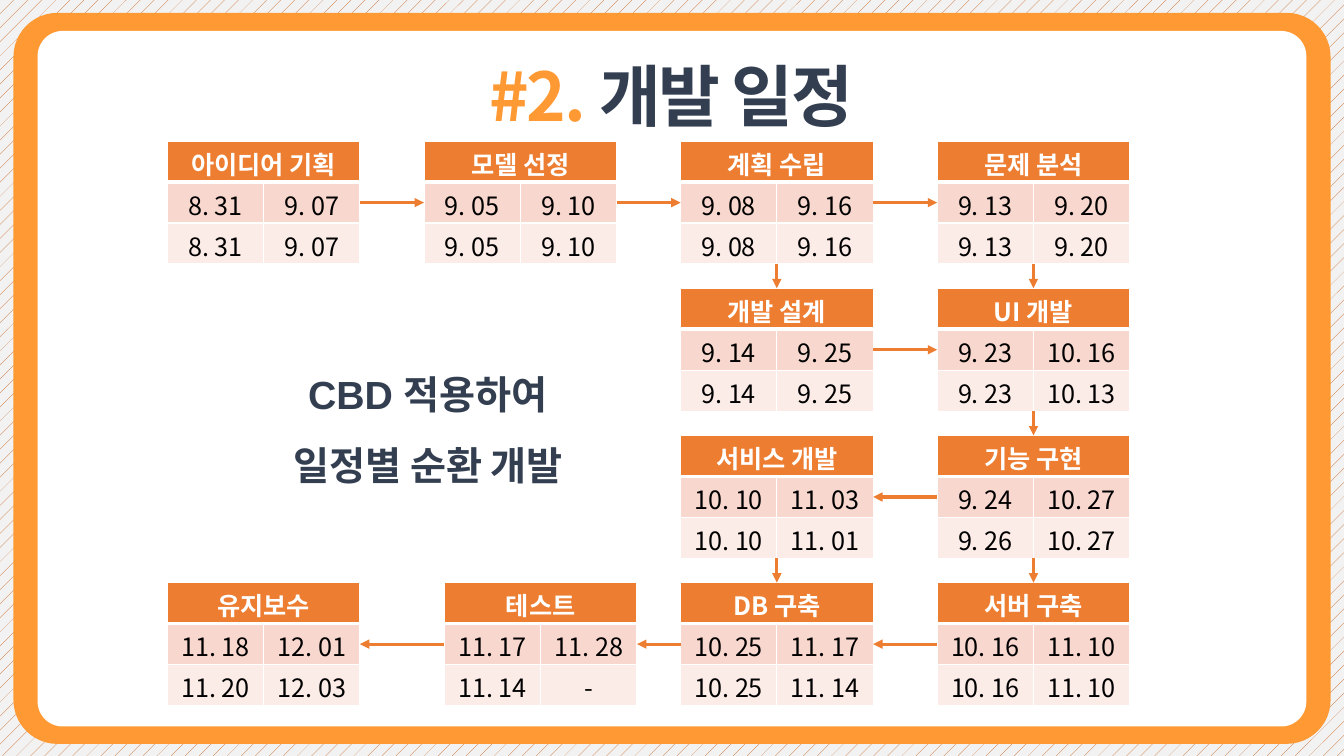
from pptx import Presentation
from pptx.dml.color import RGBColor
from pptx.enum.dml import MSO_PATTERN
from pptx.enum.shapes import MSO_CONNECTOR, MSO_SHAPE
from pptx.enum.text import MSO_ANCHOR, MSO_AUTO_SIZE, PP_ALIGN
from pptx.oxml.ns import qn
from pptx.util import Inches, Pt
from lxml import etree

CENTER = PP_ALIGN.CENTER
TOP = MSO_ANCHOR.TOP
GROW = MSO_AUTO_SIZE.SHAPE_TO_FIT_TEXT
ROUNDED = MSO_SHAPE.ROUNDED_RECTANGLE
STRAIGHT = MSO_CONNECTOR.STRAIGHT
DOTTED = MSO_PATTERN.PERCENT_5

COLORS = {
    "frame": "FF9933", "paper": "FFFFFF", "ink": "333F50", "date": "000000",
    "header": "ED7D31", "planned": "F8D7CE", "actual": "FCECE8",
    "backdrop": "F2F2F2", "dots": "C55A11",
}
HANGUL = "Noto Sans CJK KR"
LATIN = "Arial"
TITLE_ONLY = 5
WIDTH, HEIGHT = 13.33, 7.5
GRID_LEFT, GRID_TOP = 1.66, 1.4
COLUMN_STEP, ROW_STEP = 2.545, 1.46
CARD_WIDTH, CARD_HEIGHT = 1.91, 1.22

STAGES = {
    "아이디어 기획": (0, 0, ("8. 31", "9. 07"), ("8. 31", "9. 07")),
    "모델 선정": (1, 0, ("9. 05", "9. 10"), ("9. 05", "9. 10")),
    "계획 수립": (2, 0, ("9. 08", "9. 16"), ("9. 08", "9. 16")),
    "문제 분석": (3, 0, ("9. 13", "9. 20"), ("9. 13", "9. 20")),
    "개발 설계": (2, 1, ("9. 14", "9. 25"), ("9. 14", "9. 25")),
    "UI 개발": (3, 1, ("9. 23", "10. 16"), ("9. 23", "10. 13")),
    "서비스 개발": (2, 2, ("10. 10", "11. 03"), ("10. 10", "11. 01")),
    "기능 구현": (3, 2, ("9. 24", "10. 27"), ("9. 26", "10. 27")),
    "유지보수": (0, 3, ("11. 18", "12. 01"), ("11. 20", "12. 03")),
    "테스트": (1.08, 3, ("11. 17", "11. 28"), ("11. 14", "-")),
    "DB 구축": (2, 3, ("10. 25", "11. 17"), ("10. 25", "11. 14")),
    "서버 구축": (3, 3, ("10. 16", "11. 10"), ("10. 16", "11. 10")),
}
FLOW = [
    ("아이디어 기획", "모델 선정"), ("모델 선정", "계획 수립"),
    ("계획 수립", "문제 분석"), ("문제 분석", "UI 개발"),
    ("계획 수립", "개발 설계"), ("개발 설계", "UI 개발"),
    ("UI 개발", "기능 구현"), ("기능 구현", "서비스 개발"),
    ("기능 구현", "서버 구축"), ("서비스 개발", "DB 구축"),
    ("서버 구축", "DB 구축"), ("DB 구축", "테스트"), ("테스트", "유지보수"),
]


def color(name):
    return RGBColor.from_string(COLORS[name])


def write(para, text, size=18, ink="date", bold=False, font=HANGUL, spacing=None):
    para.alignment = CENTER
    span = para.add_run()
    span.text = text
    span.font.size = Pt(size)
    span.font.bold = bold
    span.font.name = font
    span.font.color.rgb = color(ink)
    properties = span.font._element
    etree.SubElement(properties, qn("a:ea"), typeface=HANGUL)
    if spacing is not None:
        properties.set("spc", str(round(spacing * 100)))


def share(left, top, width, height):
    return [Inches(part * side) for part, side in
            zip((left, top, width, height), (WIDTH, HEIGHT, WIDTH, HEIGHT))]


def corner(stage):
    column, row = STAGES[stage][:2]
    return GRID_LEFT + column * COLUMN_STEP, GRID_TOP + row * ROW_STEP


class Schedule:
    def __init__(self, deck):
        self.page = deck.slides.add_slide(deck.slide_layouts[TITLE_ONLY])
        backdrop = self.page.background.fill
        backdrop.patterned()
        backdrop.pattern = DOTTED
        backdrop.fore_color.rgb = color("dots")
        backdrop.back_color.rgb = color("backdrop")

    def panel(self, area, fill, rounding):
        box = self.page.shapes.add_shape(ROUNDED, *share(*area))
        box.adjustments[0] = rounding
        box.shadow.inherit = False
        box.fill.solid()
        box.fill.fore_color.rgb = color(fill)
        box.line.fill.background()

    def title(self, area, number, name):
        box = self.page.shapes.title
        self.page.shapes._spTree.append(box._element)
        box.left, box.top, box.width, box.height = share(*area)
        box.text_frame.vertical_anchor = TOP
        box.text_frame.auto_size = GROW
        para = box.text_frame.paragraphs[0]
        write(para, number, size=48, ink="frame", bold=True, spacing=-1.5)
        write(para, name, size=48, ink="ink", bold=True, spacing=-1.5)

    def note(self, area, lines):
        box = self.page.shapes.add_textbox(*share(*area))
        box.text_frame.word_wrap = True
        box.text_frame.auto_size = GROW
        para = box.text_frame.paragraphs[0]
        para.line_spacing = 1.5
        for index, line in enumerate(lines):
            if index:
                para.add_line_break()
            write(para, line, size=28, ink="ink", bold=True, font=LATIN)

    def cell(self, cell, text, fill, borders, **style):
        cell.margin_top, cell.margin_bottom = Inches(0.04), 0
        cell.fill.solid()
        cell.fill.fore_color.rgb = color(fill)
        for index, (side, weight) in enumerate(zip("LRTB", borders)):
            edge = etree.Element(qn(f"a:ln{side}"), w=str(Pt(weight)))
            solid = etree.SubElement(edge, qn("a:solidFill"))
            etree.SubElement(solid, qn("a:srgbClr"), val=COLORS["paper"])
            cell._tc.tcPr.insert(index, edge)
        if text:
            write(cell.text_frame.paragraphs[0], text, **style)

    def card(self, stage):
        planned, actual = STAGES[stage][2:]
        left, top = corner(stage)
        table = self.page.shapes.add_table(
            3, 2, Inches(left), Inches(top),
            Inches(CARD_WIDTH), Inches(CARD_HEIGHT)).table
        table.horz_banding = False
        table.cell(0, 0).merge(table.cell(0, 1))
        rows = [
            ((stage, ""), "header", (1, 1, 1, 3), {"ink": "paper", "bold": True}),
            (planned, "planned", (1, 1, 3, 1), {}),
            (actual, "actual", (1, 1, 1, 1), {}),
        ]
        for row, (texts, fill, borders, style) in enumerate(rows):
            for column, text in enumerate(texts):
                self.cell(table.cell(row, column), text, fill, borders, **style)

    def arrow(self, source, target):
        (left, top), (end_left, end_top) = corner(source), corner(target)
        if top == end_top:
            level = top + CARD_HEIGHT / 2
            forward = end_left > left
            start = (left + CARD_WIDTH * forward, level)
            end = (end_left + CARD_WIDTH * (not forward), level)
        else:
            middle = left + CARD_WIDTH / 2
            start, end = (middle, top + CARD_HEIGHT), (middle, end_top)
        line = self.page.shapes.add_connector(
            STRAIGHT, *[Inches(place) for place in start + end])
        line.line.color.rgb = color("header")
        line.line.width = Pt(2.25)
        etree.SubElement(line.line._get_or_add_ln(), qn("a:tailEnd"), type="triangle")
        etree.SubElement(line._element.spPr, qn("a:effectLst"))


def main():
    deck = Presentation()
    deck.slide_width, deck.slide_height = Inches(WIDTH), Inches(HEIGHT)
    schedule = Schedule(deck)
    schedule.panel((0.01, 0.017, 0.98, 0.967), "frame", 0.06)
    schedule.panel((0.028, 0.041, 0.944, 0.92), "paper", 0.036)
    schedule.title((0.302, 0.065, 0.395, 0.121), "#2. ", "개발 일정")
    for stage in STAGES:
        schedule.card(stage)
    for source, target in FLOW:
        schedule.arrow(source, target)
    schedule.note((0.185, 0.452, 0.267, 0.201), ("CBD 적용하여", "일정별 순환 개발"))
    deck.save("out.pptx")


if __name__ == "__main__":
    main()
